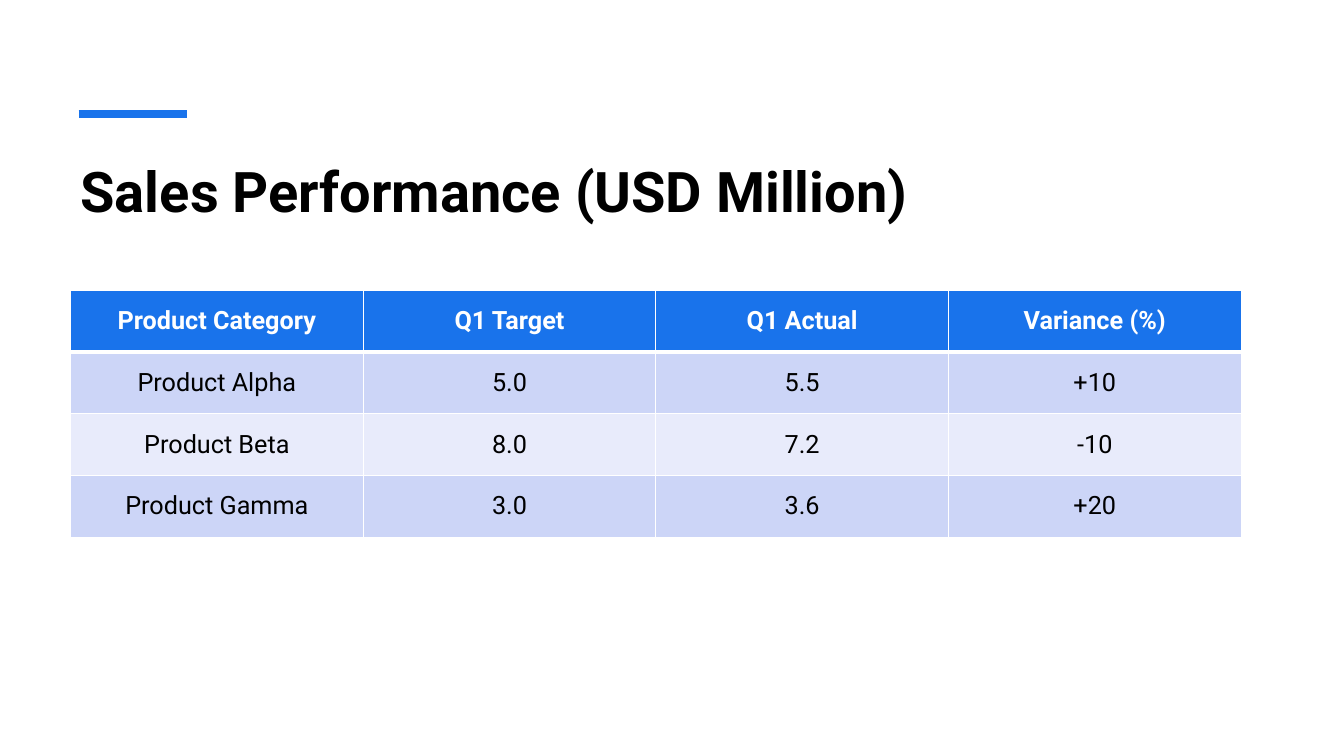
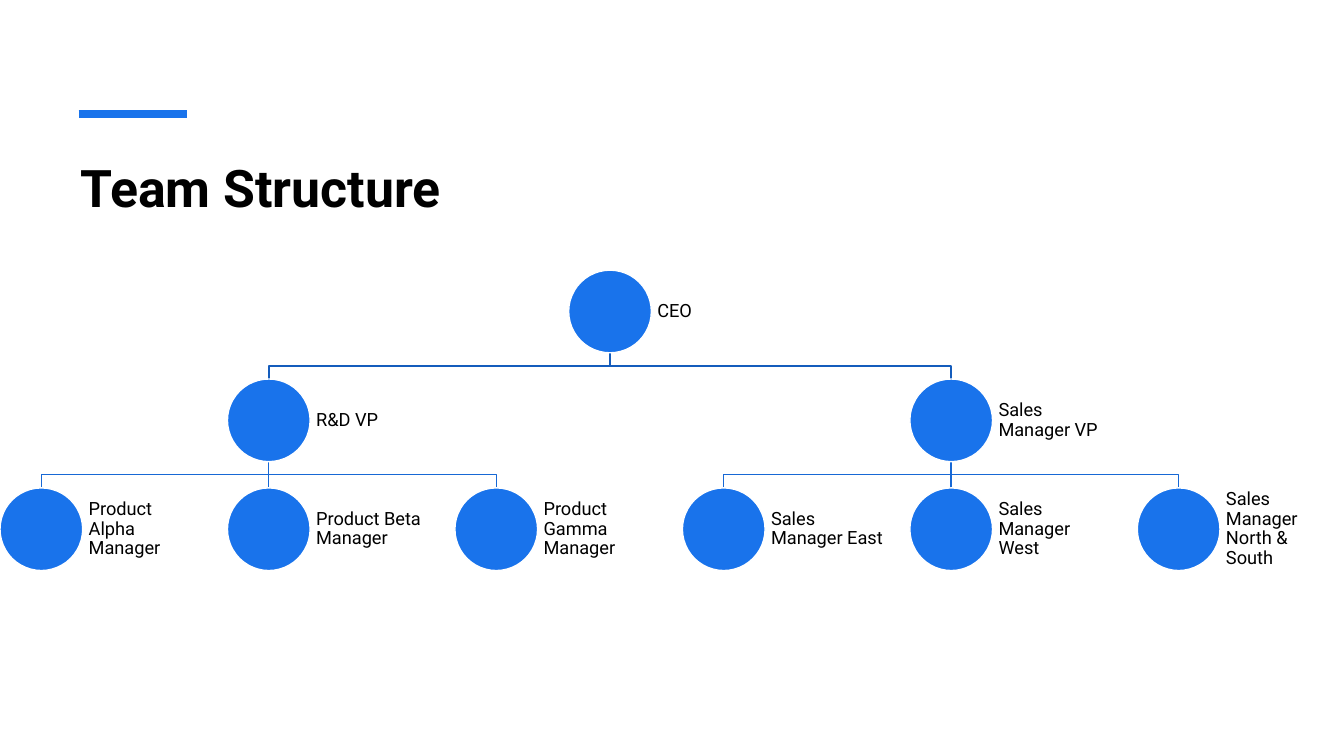
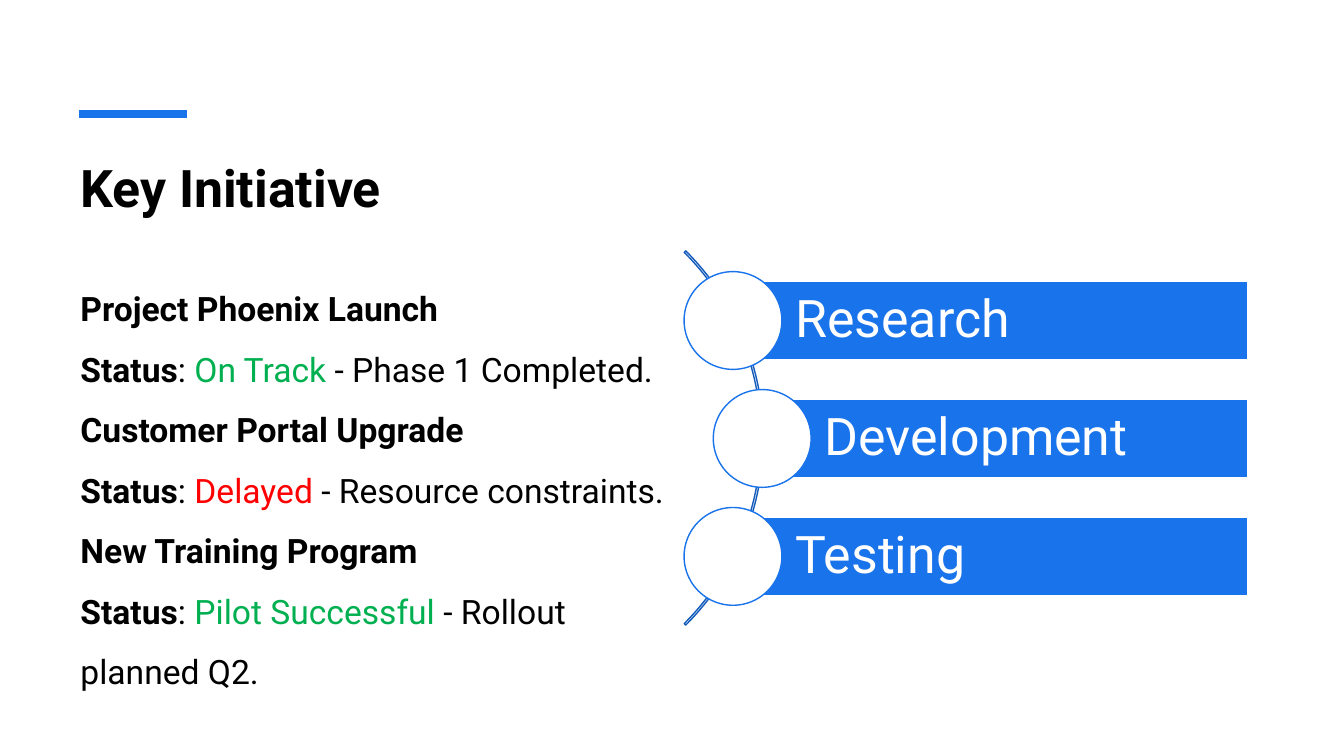
from dataclasses import dataclass

from lxml import etree
from pptx import Presentation
from pptx import util as u
from pptx.dml.color import RGBColor
from pptx.enum import shapes, text
from pptx.oxml import ns

FONT = "Roboto"
HEX = {
    "blue": "1973EB", "deep": "145CBC", "mid": "1768D5",
    "band": "CCD5F7", "pale": "E8EBFB",
    "white": "FFFFFF", "black": "000000", "green": "00B050", "red": "FF0000",
}
WIDE, HIGH = 13.33, 7.5


@dataclass(frozen=True)
class Run:
    words: str
    color: str | None = None
    bold: bool | None = None


@dataclass(frozen=True)
class Box:
    x: float
    y: float
    w: float
    h: float

    def emu(self) -> list[u.Length]:
        return [u.Inches(v) for v in (self.x, self.y, self.w, self.h)]


@dataclass(frozen=True)
class Node:
    """A role; col counts leaf columns, boss is the index of its parent
    and pad is the right inset of its label."""
    name: str
    col: float
    level: int
    boss: int | None = None
    pad: float = 0.04


@dataclass(frozen=True)
class Step:
    name: str
    x: float


def rgb(name: str) -> RGBColor:
    return RGBColor.from_string(HEX[name])


def put(frame, paras, *, size: float, color: str = "black", bold: bool = False,
        align=text.PP_ALIGN.LEFT, anchor=text.MSO_ANCHOR.TOP,
        space: float = 1.0, inset=None) -> None:
    """Fill a text frame; each paragraph is a string or a list of runs."""
    frame.word_wrap = True
    frame.vertical_anchor = anchor
    if inset:
        (frame.margin_left, frame.margin_top, frame.margin_right,
         frame.margin_bottom) = [u.Inches(v) for v in inset]
    for i, item in enumerate(paras):
        para = frame.add_paragraph() if i else frame.paragraphs[0]
        para.alignment, para.line_spacing = align, space
        for run in [Run(item)] if isinstance(item, str) else item:
            part = para.add_run()
            part.text = run.words
            font = part.font
            font.name, font.size = FONT, u.Pt(size)
            font.bold = bold if run.bold is None else run.bold
            font.color.rgb = rgb(run.color or color)


def label(slide, box: Box, paras, **style) -> None:
    put(slide.shapes.add_textbox(*box.emu()).text_frame, paras, **style)


def paint(shape, fill: str | None, line: str) -> None:
    shape.shadow.inherit = False
    if fill:
        shape.fill.solid()
        shape.fill.fore_color.rgb = rgb(fill)
    else:
        shape.fill.background()
    shape.line.color.rgb = rgb(line)
    shape.line.width = u.Pt(1)


def form(slide, kind, box: Box, fill: str | None, line: str):
    shape = slide.shapes.add_shape(kind, *box.emu())
    paint(shape, fill, line)
    return shape


def rule(slide, start, end, color: str, width: float) -> None:
    ends = [u.Inches(v) for v in (*start, *end)]
    line = slide.shapes.add_connector(shapes.MSO_CONNECTOR.STRAIGHT, *ends)
    line.line.color.rgb = rgb(color)
    line.line.width = u.Pt(width)
    etree.SubElement(line._element.spPr, ns.qn("a:effectLst"))


def page(deck, title: str, size: float = 37, width: float = 6.27):
    """Add a slide with the accent bar and its title."""
    slide = deck.slides.add_slide(deck.slide_layouts[6])
    rule(slide, (0.78, 1.13), (1.85, 1.13), "blue", 6)
    label(slide, Box(0.7, 1.5, width, 1.2), [title], size=size, bold=True)
    return slide


def edge(cell, head: bool) -> None:
    """Draw white cell borders, thicker below the header."""
    props = cell._tc.get_or_add_tcPr()
    for i, side in enumerate(("lnL", "lnR", "lnT", "lnB")):
        width = u.Pt(3 if head and side == "lnB" else 1)
        line = etree.Element(ns.qn(f"a:{side}"), w=str(int(width)))
        fill = etree.SubElement(line, ns.qn("a:solidFill"))
        etree.SubElement(fill, ns.qn("a:srgbClr"), val=HEX["white"])
        props.insert(i, line)


SALES = [
    ("Product Category", "Q1 Target", "Q1 Actual", "Variance (%)"),
    ("Product Alpha", "5.0", "5.5", "+10"),
    ("Product Beta", "8.0", "7.2", "-10"),
    ("Product Gamma", "3.0", "3.6", "+20"),
]


def sales(deck) -> None:
    slide = page(deck, "Sales Performance (USD Million)", 40, 8.49)
    area = Box(0.7, 2.88, 11.61, 2.45)
    grid = slide.shapes.add_table(len(SALES), len(SALES[0]), *area.emu()).table
    for r, row in enumerate(SALES):
        head = r == 0
        fill = "blue" if head else ("pale", "band")[r % 2]
        for c, words in enumerate(row):
            cell = grid.cell(r, c)
            cell.fill.solid()
            cell.fill.fore_color.rgb = rgb(fill)
            edge(cell, head)
            put(cell.text_frame, [words], size=18, bold=head,
                color="white" if head else "black", align=text.PP_ALIGN.CENTER)
            cell.vertical_anchor = text.MSO_ANCHOR.MIDDLE


TEAM = [
    Node("CEO", 2.5, 0),
    Node("R&D VP", 1, 1, 0),
    Node("Sales Manager VP", 4, 1, 0),
    Node("Product Alpha Manager", 0, 2, 1),
    Node("Product Beta Manager", 1, 2, 1),
    Node("Product Gamma Manager", 2, 2, 1),
    Node("Sales Manager East", 3, 2, 2),
    Node("Sales Manager West", 4, 2, 2),
    Node("Sales Manager North & South", 5, 2, 2, pad=0.2),
]
DISC, NOTE = 0.82, 1.23
PITCH = (WIDE - DISC - NOTE) / 5


def spot(node: Node) -> Box:
    return Box(node.col * PITCH, 2.68 + 1.08 * node.level, DISC, DISC)


def link(slide, boss: Box, kid: Box, color: str) -> None:
    """Join the foot of one disc to the top of another."""
    x1, x2 = boss.x + DISC / 2, kid.x + DISC / 2
    y1, y2 = boss.y + DISC, kid.y
    if x1 == x2:
        rule(slide, (x1, y1), (x2, y2), color, 1)
        return
    half = (y1 + y2) / 2
    first, *rest = [(u.Inches(x), u.Inches(y)) for x, y in
                    ((x1, y1), (x1, half), (x2, half), (x2, y2))]
    trace = slide.shapes.build_freeform(*first)
    trace.add_line_segments(rest, close=False)
    paint(trace.convert_to_shape(), None, color)


def team(deck) -> None:
    slide = page(deck, "Team Structure")
    for node in TEAM:
        if node.boss is not None:
            link(slide, spot(TEAM[node.boss]), spot(node),
                 "deep" if node.level == 1 else "mid")
    for node in TEAM:
        disc = spot(node)
        form(slide, shapes.MSO_SHAPE.OVAL, disc, "blue", "white")
        label(slide, Box(disc.x + DISC, disc.y, NOTE, DISC), [node.name],
              size=13, anchor=text.MSO_ANCHOR.MIDDLE, space=0.9,
              inset=(0.06, 0.05, node.pad, 0.05))


STEPS = [Step("Research", 7.27), Step("Development", 7.56),
         Step("Testing", 7.27)]
PLANS = [
    ("Project Phoenix Launch", "On Track", "green", "Phase 1 Completed."),
    ("Customer Portal Upgrade", "Delayed", "red", "Resource constraints."),
    ("New Training Program", "Pilot Successful", "green",
     "Rollout planned Q2."),
]


def plans(deck) -> None:
    slide = page(deck, "Key Initiative")
    arc = form(slide, shapes.MSO_SHAPE.BLOCK_ARC,
               Box(2.32, 1.72, 5.25, 5.25), None, "deep")
    for i, value in enumerate((189, 27, 0.004)):
        arc.adjustments[i] = value
    ball, tall, right = 0.97, 0.78, 12.38
    for i, step in enumerate(STEPS):
        y = 2.79 + 1.17 * i
        bar = form(slide, shapes.MSO_SHAPE.RECTANGLE,
                   Box(step.x, y, right - step.x, tall), "blue", "white")
        put(bar.text_frame, [step.name], size=37, color="white", space=0.9,
            anchor=text.MSO_ANCHOR.MIDDLE, inset=(0.62, 0.1, 0.1, 0.1))
        form(slide, shapes.MSO_SHAPE.OVAL,
             Box(step.x - ball / 2, y + (tall - ball) / 2, ball, ball),
             "white", "blue")
    paras = []
    for name, state, color, note in PLANS:
        paras += [[Run(name, bold=True)],
                  [Run("Status", bold=True), Run(": "), Run(state, color),
                   Run(f" - {note}")]]
    label(slide, Box(0.7, 2.61, 6.03, 4.26), paras, size=24, space=1.5)


def main() -> None:
    deck = Presentation()
    deck.slide_width, deck.slide_height = u.Inches(WIDE), u.Inches(HIGH)
    for draw in (sales, team, plans):
        draw(deck)
    deck.save("out.pptx")


if __name__ == "__main__":
    main()
